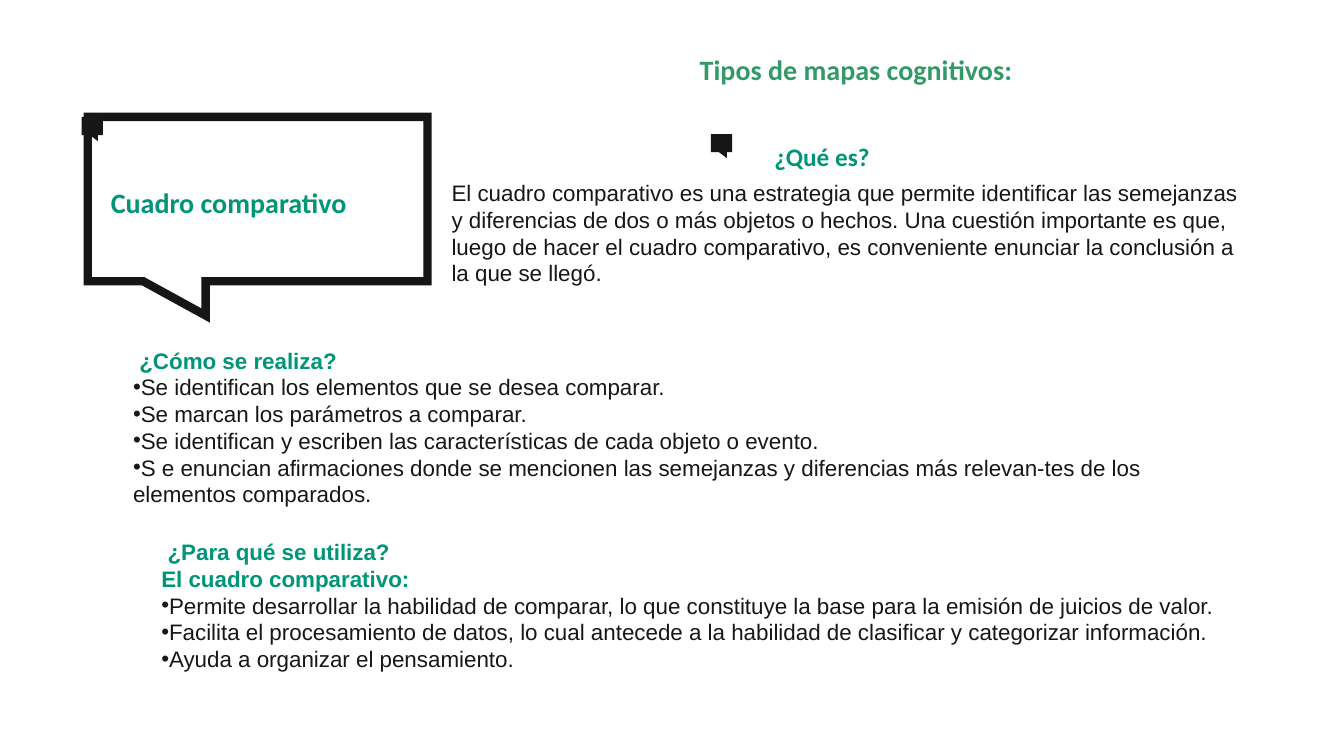
from lxml.etree import SubElement
from pptx import Presentation
from pptx.dml.color import RGBColor
from pptx.enum.text import MSO_ANCHOR, MSO_AUTO_SIZE, PP_ALIGN
from pptx.oxml.ns import qn
from pptx.util import Inches, Pt

LEAF = RGBColor(0x33, 0x99, 0x66)
TEAL = RGBColor(0x00, 0x94, 0x79)
INK = RGBColor(0x18, 0x17, 0x17)
OUTLINE = RGBColor(0x17, 0x16, 0x16)

prs = Presentation()
prs.slide_width, prs.slide_height = Inches(13.33), Inches(7.5)
COL, ROW = prs.slide_width / 100, prs.slide_height / 100
s = prs.slides.add_slide(prs.slide_layouts[3])
title, steps_box, uses_box = s.placeholders


def write(sp, area, paragraphs, size, font, spacing, inset=True):
    """Place a text shape and fill it with (text, colour, bold, bullet, indent)."""
    left, top, width, height = area
    sp.left, sp.width = round(left * COL), round(width * COL)
    sp.top, sp.height = round(top * ROW), round(height * ROW)
    tf = sp.text_frame
    tf.word_wrap, tf.auto_size = True, MSO_AUTO_SIZE.NONE
    tf.vertical_anchor = MSO_ANCHOR.TOP
    if not inset:
        tf.margin_left = tf.margin_right = tf.margin_top = tf.margin_bottom = 0
    tf.text = "\n".join(item[0] for item in paragraphs)
    for p, (_, colour, bold, bullet, indent) in zip(tf.paragraphs, paragraphs):
        p.alignment, p.line_spacing = PP_ALIGN.LEFT, spacing
        p.space_before = p.space_after = Pt(0)
        pPr = p._p.get_or_add_pPr()
        pPr.set("marL", str(Pt(indent)))
        pPr.set("indent", "0")
        if bullet:
            SubElement(pPr, qn("a:buChar"), char="•")
        else:
            SubElement(pPr, qn("a:buNone"))
        for r in p.runs:
            r.font.name, r.font.size = font, Pt(size)
            r.font.bold, r.font.color.rgb = bold, colour


def outline(points):
    """Draw a closed outline through grid points."""
    xy = [(round(x * COL), round(y * ROW)) for x, y in points]
    builder = s.shapes.build_freeform(*xy[0])
    builder.add_line_segments(xy[1:], close=True)
    sp = builder.convert_to_shape()
    sp.shadow.inherit = False
    return sp


# Speech bubble
bubble = outline([(31.81, 37.2), (31.81, 15.47), (6.53, 15.47), (6.53, 37.2),
                  (10.65, 37.2), (15.3, 41.73), (15.3, 37.2)])
bubble.fill.background()
bubble.line.color.rgb, bubble.line.width = OUTLINE, Pt(6)
SubElement(bubble.line._get_or_add_ln(), qn("a:miter"), lim="800000")

# Small bubble marks
MARK = [(0, 0), (1.58, 0), (1.58, 2.4), (1.2, 2.4), (1.2, 3.2), (0.6, 2.4), (0, 2.4)]
for x, y in [(52.89, 17.73), (6.08, 15.47)]:
    mark = outline([(x + dx, y + dy) for dx, dy in MARK])
    mark.fill.solid()
    mark.fill.fore_color.rgb = INK
    mark.line.fill.background()

# Title and headings
write(title, (51.31, 6.27, 41.71, 5.87),
      [("Tipos de mapas cognitivos:", LEAF, True, False, 0)], 20, "Calibri", 1.0)
for text, area, size in [("¿Qué es?", (57.61, 18.4, 10.73, 5.07), 18),
                         ("Cuadro comparativo", (8.25, 24.27, 29.03, 5.6), 20)]:
    write(s.shapes.add_textbox(0, 0, 0, 0), area,
          [(text, TEAL, True, False, 0)], size, "Calibri", 1.07, inset=False)

# Definition
definition = (
    "El cuadro comparativo es una estrategia que permite identificar las semejanzas "
    "y diferencias de dos o más objetos o hechos. Una cuestión importante es que, "
    "luego de hacer el cuadro comparativo, es conveniente enunciar la conclusión a "
    "la que se llegó.")
write(s.shapes.add_textbox(0, 0, 0, 0), (32.86, 23.07, 60.24, 16),
      [(definition, INK, False, False, 0)], 16, "Arial", Pt(19.1))

# Lists: how it is made and what it is for
steps = [
    "Se identifican los elementos que se desea comparar.",
    "Se marcan los parámetros a comparar.",
    "Se identifican y escriben las características de cada objeto o evento.",
    "S e enuncian afirmaciones donde se mencionen las semejanzas y diferencias "
    "más relevan-tes de los elementos comparados.",
]
uses = [
    "Permite desarrollar la habilidad de comparar, lo que constituye la base para "
    "la emisión de juicios de valor.",
    "Facilita el procesamiento de datos, lo cual antecede a la habilidad de "
    "clasificar y categorizar información.",
    "Ayuda a organizar el pensamiento.",
]
for sp, area, headings, items in [
    (steps_box, (9.15, 45.2, 84.32, 23.33),
     [("¿Cómo se realiza?", TEAL, True, False, 4.5)], steps),
    (uses_box, (11.25, 70.53, 80.8, 19.33),
     [("¿Para qué se utiliza?", TEAL, True, False, 4.5),
      ("El cuadro comparativo:", TEAL, True, False, 0)], uses),
]:
    bullets = [(item, INK, False, True, 0) for item in items]
    write(sp, area, headings + bullets, 16, "Arial", Pt(19.1))

prs.save("out.pptx")
